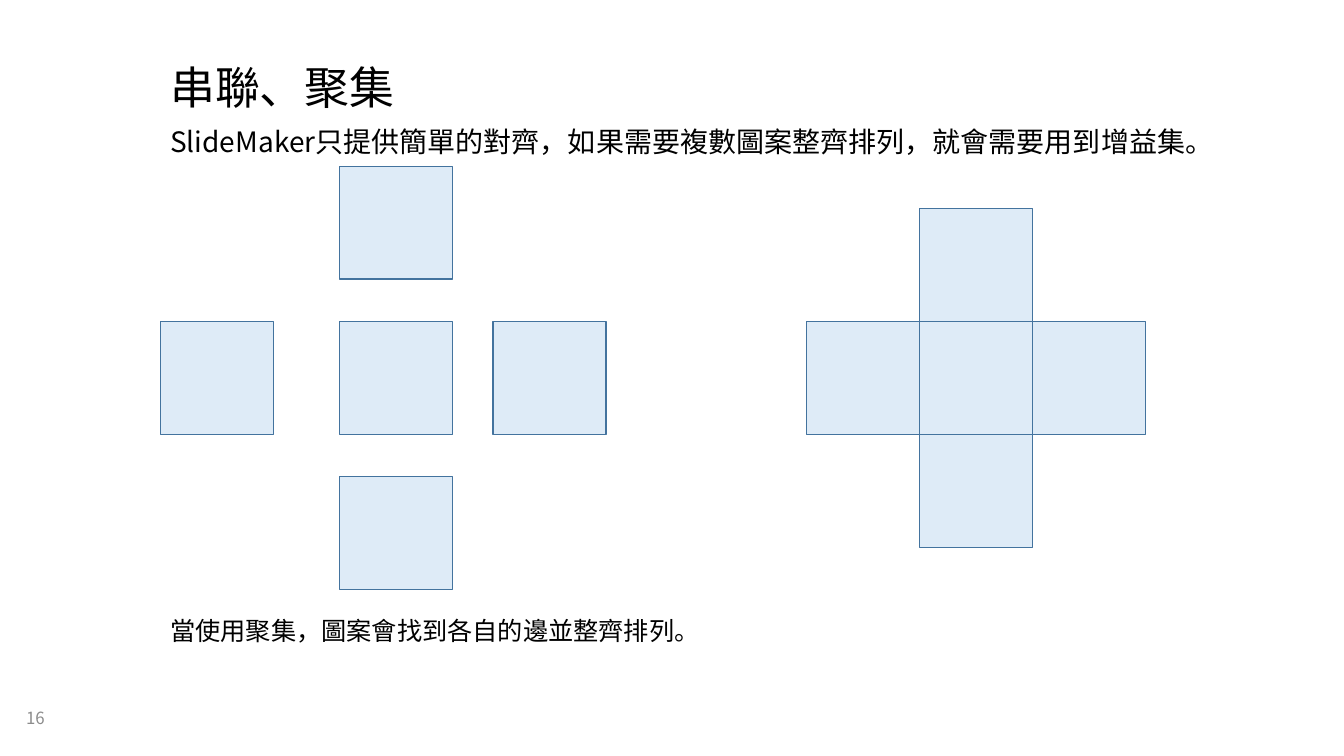
import pptx
import pptx.util
import pptx.dml.color
import pptx.enum.shapes
import pptx.enum.text
import pptx.oxml
import pptx.oxml.ns

Inches = pptx.util.Inches
Pt = pptx.util.Pt
ANCHOR = pptx.enum.text.MSO_ANCHOR

COLORS = {"text": "000000", "number": "8C8C8C", "fill": "DEEBF7", "line": "43739E"}
SANS = "Noto Sans CJK SC"
SERIF = "Times New Roman"

TEXTS = [
    {"text": "16", "box": (0.16, 6.93, 0.67, 0.39), "size": 12, "color": "number",
     "anchor": ANCHOR.MIDDLE},
    {"text": "串聯、聚集", "box": (1.59, 0.6, 11.5, 0.62), "size": 32, "spacing": 0.9},
    {"text": "SlideMaker只提供簡單的對齊，如果需要複數圖案整齊排列，就會需要用到增益集。",
     "box": (1.59, 1.22, 11.5, 1.19), "size": 20, "spacing": 0.9},
    {"text": "當使用聚集，圖案會找到各自的邊並整齊排列。", "box": (1.59, 6.06, 5.5, 0.4),
     "size": 18, "font": SERIF, "wrap": False},
]

SQUARE = 1.12
MIDDLE_TOP = 3.19
CROSSES = [
    {"center": 3.37, "left": 1.78, "right": 1.52, "vertical": 1.54},
    {"center": 9.12, "left": SQUARE, "right": SQUARE, "vertical": SQUARE},
]


def color(name):
    return pptx.dml.color.RGBColor.from_string(COLORS[name])


def add_text(slide, text, box, size, color_name="text", font=SANS, spacing=1.0,
             anchor=ANCHOR.TOP, wrap=True):
    text_box = slide.shapes.add_textbox(*(Inches(length) for length in box))
    frame = text_box.text_frame
    frame.text = text
    frame.word_wrap = wrap
    frame.vertical_anchor = anchor
    paragraph = frame.paragraphs[0]
    paragraph.line_spacing = spacing
    run = paragraph.runs[0]
    run.font.size = Pt(size)
    run.font.name = font
    run.font.color.rgb = color(color_name)
    east_asian = pptx.oxml.parse_xml(
        f'<a:ea {pptx.oxml.ns.nsdecls("a")} typeface="{SANS}"/>')
    run.font._element.append(east_asian)


def add_square(slide, left, top):
    square = slide.shapes.add_shape(
        pptx.enum.shapes.MSO_SHAPE.RECTANGLE,
        Inches(left), Inches(top), Inches(SQUARE), Inches(SQUARE))
    square.shadow.inherit = False
    square.fill.solid()
    square.fill.fore_color.rgb = color("fill")
    square.line.color.rgb = color("line")
    square.line.width = Pt(1)


def add_cross(slide, center, left, right, vertical):
    offsets = [(0, 0), (right, 0), (-left, 0), (0, -vertical), (0, vertical)]
    for across, down in offsets:
        add_square(slide, center + across, MIDDLE_TOP + down)


def main():
    presentation = pptx.Presentation()
    presentation.slide_width = Inches(13.33)
    presentation.slide_height = Inches(7.5)
    slide = presentation.slides.add_slide(presentation.slide_layouts[6])
    for item in TEXTS:
        options = dict(item)
        add_text(slide, color_name=options.pop("color", "text"), **options)
    for cross in CROSSES:
        add_cross(slide, **cross)
    presentation.save("out.pptx")


if __name__ == "__main__":
    main()
